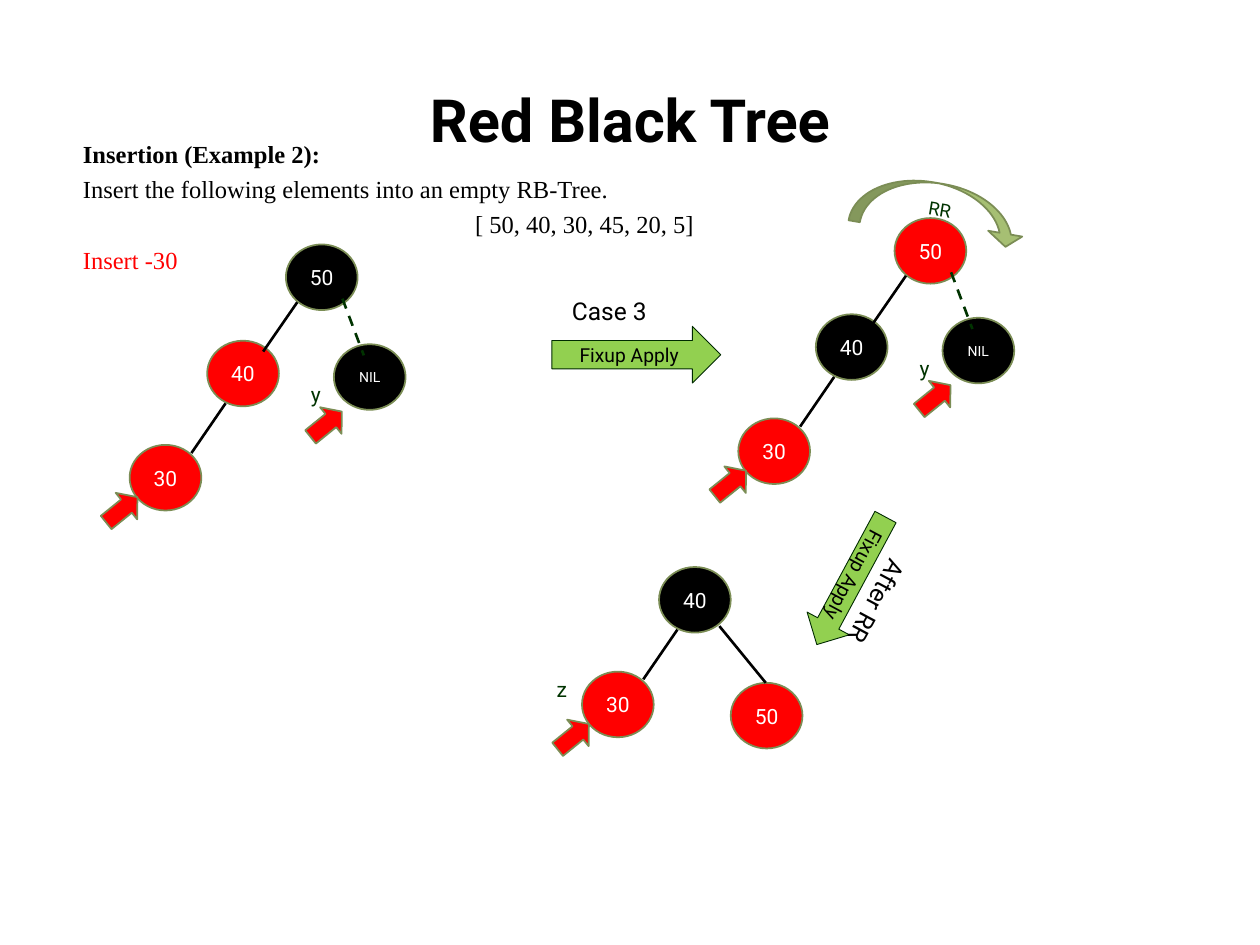
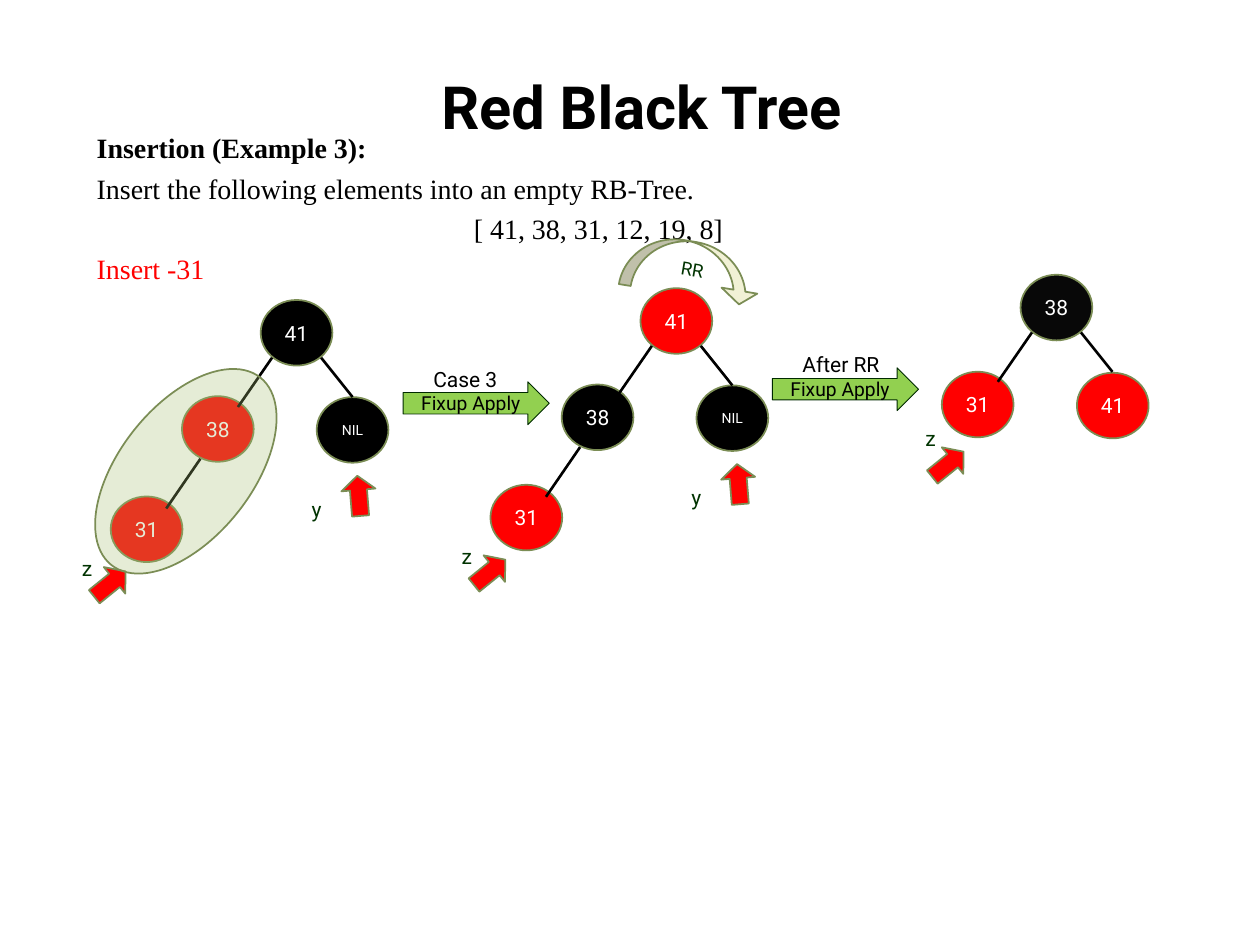
from lxml import etree
from pptx import Presentation
from pptx.dml.color import RGBColor
from pptx.enum.dml import MSO_LINE
from pptx.enum.shapes import MSO_CONNECTOR, MSO_SHAPE
from pptx.enum.text import MSO_ANCHOR, PP_ALIGN
from pptx.oxml.ns import qn
from pptx.util import Pt

ELLIPSE = MSO_SHAPE.OVAL
ARROW = MSO_SHAPE.RIGHT_ARROW
CURVED_ARROW = MSO_SHAPE.CURVED_DOWN_ARROW
STRAIGHT = MSO_CONNECTOR.STRAIGHT
DASH = MSO_LINE.DASH
MIDDLE, TOP = MSO_ANCHOR.MIDDLE, MSO_ANCHOR.TOP
LEFT, CENTER, JUSTIFY = PP_ALIGN.LEFT, PP_ALIGN.CENTER, PP_ALIGN.JUSTIFY

COLORS = {
    "black": "000000", "soft_black": "080808", "red": "FF0000",
    "white": "FFFFFF", "outline": "7B8D55", "dark_green": "003300",
    "step": "92D050", "step_outline": "002A00",
    "olive": "A6BF73", "cream": "F1F1D5",
}
SANS, SERIF = "Roboto", "Times New Roman"
NODE_W, NODE_H = 41, 37.5

# Edge ends, measured from the top left corner of the parent node
ROOT_LEFT_EDGE = (6.5, 33, -13, 61.2)
LOWER_LEFT_EDGE = (10.5, 35.8, -9, 64.2)
SHORT_RIGHT_EDGE = (34.5, 33, 52.5, 55.5)
LONG_RIGHT_EDGE = (34.5, 33.8, 61, 66.2)
NIL_EDGE = (32.3, 31, 44.5, 63.4)


def rgb(name):
    return RGBColor.from_string(COLORS[name])


def style_runs(paragraph, size, color, font=SANS, bold=False):
    for run in paragraph.runs:
        run.font.size = Pt(size)
        run.font.name = font
        run.font.bold = bold
        run.font.color.rgb = rgb(color)


def add_title(slide, x, y):
    title = slide.shapes.title
    title.left, title.top, title.width, title.height = Pt(x), Pt(y), Pt(648), Pt(57)
    title.text_frame.text = "Red Black Tree"
    title.text_frame.vertical_anchor = MIDDLE
    paragraph = title.text_frame.paragraphs[0]
    paragraph.alignment = CENTER
    style_runs(paragraph, 34, "black", bold=True)


def add_task(slide, x, y, height, size, example, elements, inserted):
    """Heading, task, element list and the element now inserted."""
    lines = [
        (f"Insertion (Example {example}):", JUSTIFY, "black", True),
        ("Insert the following elements into an empty RB-Tree.", JUSTIFY, "black", False),
        (elements, CENTER, "black", False),
        (f"Insert -{inserted}", LEFT, "red", False),
    ]
    frame = slide.shapes.add_textbox(Pt(x), Pt(y), Pt(587.5), Pt(height)).text_frame
    frame.word_wrap = True
    for index, (text, alignment, color, bold) in enumerate(lines):
        paragraph = frame.add_paragraph() if index else frame.paragraphs[0]
        paragraph.text = text
        paragraph.alignment = alignment
        if index:
            paragraph.space_before = Pt(round(size * 0.24, 1))
        style_runs(paragraph, size, color, SERIF, bold)


def add_figure(slide, kind, box, fill, outline="outline", weight=1, rotation=0,
               adjustments=()):
    figure = slide.shapes.add_shape(kind, *map(Pt, box))
    figure.shadow.inherit = False
    figure.rotation = rotation
    figure.fill.solid()
    figure.fill.fore_color.rgb = rgb(fill)
    figure.line.color.rgb = rgb(outline)
    figure.line.width = Pt(weight)
    for index, value in enumerate(adjustments):
        figure.adjustments[index] = value
    return figure


def write_centered(figure, text, size, color):
    frame = figure.text_frame
    frame.text = text
    frame.word_wrap = False
    frame.vertical_anchor = MIDDLE
    frame.margin_left = frame.margin_right = 0
    frame.paragraphs[0].alignment = CENTER
    style_runs(frame.paragraphs[0], size, color)


def add_label(slide, text, x, y, width=19.5, size=12, color="dark_green", rotation=0):
    label = slide.shapes.add_textbox(Pt(x), Pt(y), Pt(width), Pt(size * 1.2 + 7.2))
    label.rotation = rotation
    frame = label.text_frame
    frame.text = text
    frame.word_wrap = True
    frame.margin_right = 0
    frame.vertical_anchor = TOP
    style_runs(frame.paragraphs[0], size, color)


def add_node(slide, key, color, x, y):
    node = add_figure(slide, ELLIPSE, (x, y, NODE_W, NODE_H), color)
    write_centered(node, key, 8 if key == "NIL" else 12, "white")


def add_edge(slide, parent, ends):
    x, y = parent
    x1, y1, x2, y2 = ends
    edge = slide.shapes.add_connector(STRAIGHT, Pt(x + x1), Pt(y + y1),
                                      Pt(x + x2), Pt(y + y2))
    to_nil = ends == NIL_EDGE
    edge.line.color.rgb = rgb("dark_green" if to_nil else "black")
    edge.line.width = Pt(1.5)
    if to_nil:
        edge.line.dash_style = DASH
    etree.SubElement(edge._element.spPr, qn("a:effectLst"))


def add_pointer(slide, x, y, rotation=321):
    add_figure(slide, ARROW, (x, y, 23, 19.5), "red", rotation=rotation,
               adjustments=(0.5, 0.415))


def add_rotation_arrow(slide, box, fill):
    arrow = add_figure(slide, CURVED_ARROW, box, fill, rotation=9.6,
                       adjustments=(0.221, 0.669, 0.25))
    write_centered(arrow, "RR", 10.5, "dark_green")


def add_step(slide, box, rotation=0):
    step = add_figure(slide, ARROW, box, "step", "step_outline", 0.5, rotation)
    write_centered(step, "Fixup Apply", 11, "black")


def add_tree(slide, root, nodes, edges):
    """Draw nodes (key, color, dx, dy) from the root, then edges (parent index, ends)."""
    x, y = root
    places = [(x + dx, y + dy) for _, _, dx, dy in nodes]
    for (key, color, _, _), place in zip(nodes, places):
        add_node(slide, key, color, *place)
    for parent, ends in edges:
        add_edge(slide, places[parent], ends)
    return places


def add_chain_tree(slide, root, keys, colors, lowest, nil, nil_edge):
    """Root with two left descendants and a NIL uncle; returns the node places."""
    offsets = [(0, 0), (-45, 55), lowest, nil]
    nodes = [(key, color, *offset) for key, color, offset
             in zip([*keys, "NIL"], [*colors, "black"], offsets)]
    edges = [(0, ROOT_LEFT_EDGE), (1, LOWER_LEFT_EDGE), (0, nil_edge)]
    return add_tree(slide, root, nodes, edges)


def add_example_2_tree(slide, root, colors):
    x, y = root
    _, _, (z_x, z_y), _ = add_chain_tree(slide, root, ("50", "40", "30"), colors,
                                         (-89.3, 114.5), (27.4, 57), NIL_EDGE)
    add_label(slide, "y", x + 7.2, y + 75)
    add_pointer(slide, x + 11.5, y + 93)
    add_pointer(slide, z_x - 16, z_y + 27.4)


def add_example_3_tree(slide, root, colors):
    x, y = root
    _, _, (z_x, z_y), _ = add_chain_tree(slide, root, ("41", "38", "31"), colors,
                                         (-85.7, 112.3), (32, 55.5), SHORT_RIGHT_EDGE)
    add_label(slide, "z", z_x - 23.5, z_y + 30.2)
    add_pointer(slide, z_x - 12, z_y + 40.3)
    add_pointer(slide, x + 44.6, y + 102.2, 265.3)
    add_label(slide, "y", x + 22, y + 108.7)


def add_halo(slide, box, rotation):
    """Translucent ellipse around the two red nodes in conflict."""
    halo = add_figure(slide, ELLIPSE, box, "olive", rotation=rotation)
    color = halo._element.spPr.find(qn("a:solidFill"))[0]
    etree.SubElement(color, qn("a:alpha"), val="29000")


def build_example_2(slide):
    add_title(slide, 36, 39.6)
    add_task(slide, 40.3, 75.6, 87, 14, 2, "[ 50, 40, 30, 45, 20, 5]", 30)

    add_example_2_tree(slide, (163.4, 139.7), ("black", "red", "red"))
    add_step(slide, (315.4, 186.5, 96.5, 32.4))
    add_label(slide, "Case 3", 319.7, 165.6, 72.7, 14, "black")

    add_example_2_tree(slide, (511.2, 124.6), ("red", "black", "red"))
    add_rotation_arrow(slide, (486.7, 105, 100.8, 29.5), "olive")
    add_step(slide, (445, 318.2, 82.8, 27.4), 118.3)
    add_label(slide, "After RR", 467.3, 332.6, 67, 14, "black", 118.3)

    balanced = [("40", "black", 0, 0), ("30", "red", -44, 59.8), ("50", "red", 41, 66.2)]
    _, (z_x, z_y), _ = add_tree(slide, (376.6, 324), balanced,
                                [(0, LOWER_LEFT_EDGE), (0, LONG_RIGHT_EDGE)])
    add_pointer(slide, z_x - 16.5, z_y + 27.4)
    add_label(slide, "z", z_x - 21.6, z_y - 0.7)


def build_example_3(slide):
    add_title(slide, 42.5, 31.7)
    add_task(slide, 48.2, 71.3, 96.5, 16, 3, "[ 41, 38, 31, 12, 19, 8]", 31)

    add_example_3_tree(slide, (149, 171.4), ("black", "red", "red"))
    add_halo(slide, (68.4, 200.9, 75.6, 136.8), 38.5)
    add_step(slide, (230.4, 218.2, 83.5, 24.5))
    add_label(slide, "Case 3", 240.5, 206, 57, color="black")

    add_example_3_tree(slide, (366, 164.7), ("red", "black", "red"))
    add_rotation_arrow(slide, (355.7, 138.2, 80, 31), "cream")
    add_step(slide, (441.4, 210.2, 83.5, 24.5))
    add_label(slide, "After RR", 451.4, 197.3, 65.5, color="black")

    balanced = [("38", "soft_black", 0, 0), ("31", "red", -45, 55.4), ("41", "red", 32.2, 56)]
    _, (z_x, z_y), _ = add_tree(slide, (583.2, 157), balanced,
                                [(0, ROOT_LEFT_EDGE), (0, SHORT_RIGHT_EDGE)])
    add_label(slide, "z", z_x - 16.5, z_y + 27.4)
    add_pointer(slide, z_x - 8, z_y + 43.2)


def main():
    presentation = Presentation()
    presentation.slide_width, presentation.slide_height = Pt(720), Pt(540)
    title_only = presentation.slide_layouts[5]
    for build in (build_example_2, build_example_3):
        build(presentation.slides.add_slide(title_only))
    presentation.save("out.pptx")


if __name__ == "__main__":
    main()
